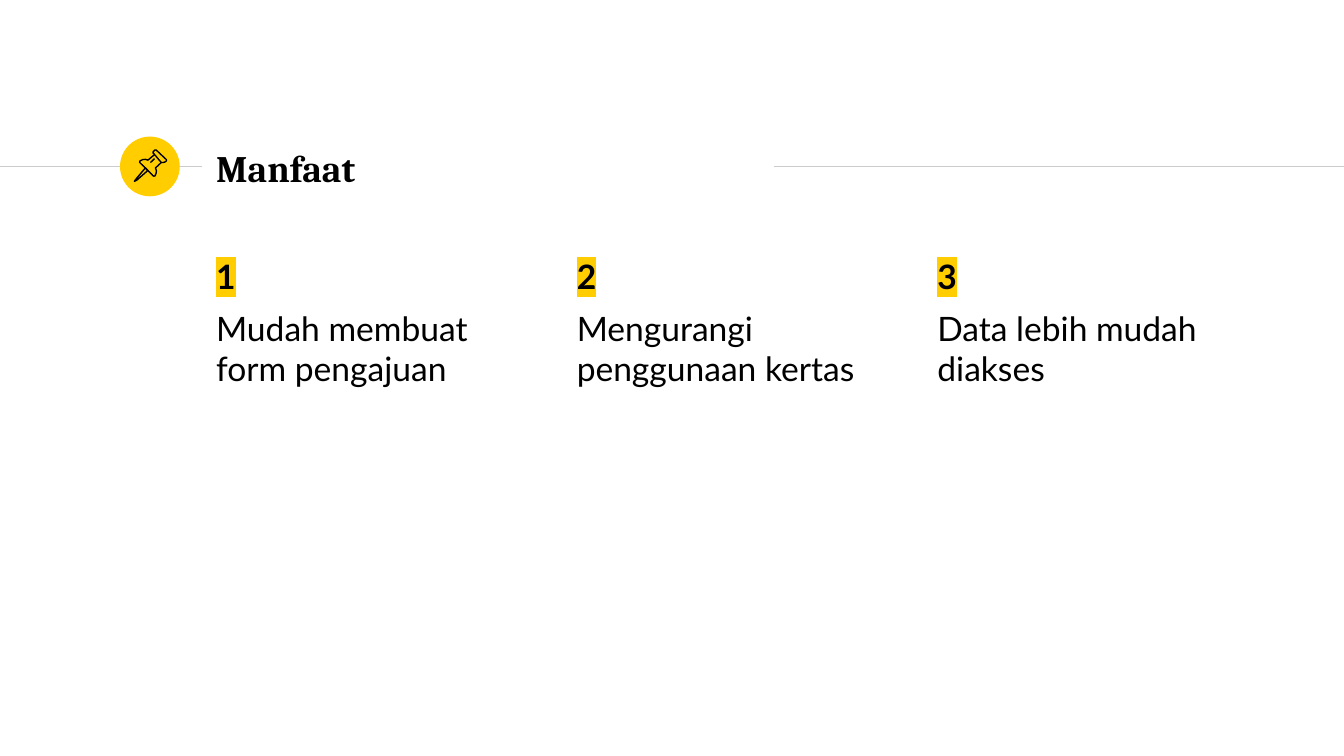
from dataclasses import dataclass

import lxml.etree
import pptx
import pptx.dml.color
import pptx.enum.shapes
import pptx.enum.text
import pptx.oxml.ns
import pptx.util

Pt = pptx.util.Pt


@dataclass(frozen=True)
class Theme:
    """Colours, fonts and type sizes of the slide."""

    ink: str = "000000"
    accent: str = "FFCD00"
    rule: str = "CCCCCC"
    title_font: str = "Cambria"
    body_font: str = "Lato"
    title_size: float = 20
    body_size: float = 18
    line_width: float = 0.75
    inset: float = 7.2
    paragraph_gap: float = 6


class SlideBuilder:
    """Draws styled elements on the current slide."""

    def __init__(self, slide, theme):
        self.slide = slide
        self.theme = theme

    def color(self, value):
        return pptx.dml.color.RGBColor.from_string(value)

    def line(self, start, end, color):
        connector = self.slide.shapes.add_connector(
            pptx.enum.shapes.MSO_CONNECTOR.STRAIGHT, *map(Pt, start + end))
        connector.line.color.rgb = self.color(color)
        connector.line.width = Pt(self.theme.line_width)
        properties = connector._element.spPr
        lxml.etree.SubElement(properties, pptx.oxml.ns.qn("a:effectLst"))

    def circle(self, left, top, diameter):
        shape = self.slide.shapes.add_shape(
            pptx.enum.shapes.MSO_SHAPE.OVAL, Pt(left), Pt(top), Pt(diameter), Pt(diameter))
        shape.shadow.inherit = False
        shape.fill.solid()
        shape.fill.fore_color.rgb = self.color(self.theme.accent)
        shape.line.fill.background()

    def outline(self, points, close):
        vertices = [(Pt(x), Pt(y)) for x, y in points]
        builder = self.slide.shapes.build_freeform(*vertices[0])
        builder.add_line_segments(vertices[1:], close=close)
        shape = builder.convert_to_shape()
        shape.shadow.inherit = False
        shape.fill.background()
        shape.line.color.rgb = self.color(self.theme.ink)
        shape.line.width = Pt(self.theme.line_width)

    def text_frame(self, left, top, width, height, anchor):
        frame = self.slide.shapes.add_textbox(*map(Pt, (left, top, width, height))).text_frame
        frame.word_wrap = True
        frame.vertical_anchor = anchor
        frame.margin_left = frame.margin_right = Pt(self.theme.inset)
        frame.margin_top = frame.margin_bottom = Pt(self.theme.inset)
        return frame

    def add_text(self, paragraph, text, font, size, bold):
        run = paragraph.add_run()
        run.text = text
        paragraph.font.name = font
        paragraph.font.size = Pt(size)
        paragraph.font.bold = bold
        paragraph.font.color.rgb = self.color(self.theme.ink)
        return run

    def highlight(self, run):
        qn = pptx.oxml.ns.qn
        mark = lxml.etree.SubElement(run._r.get_or_add_rPr(), qn("a:highlight"))
        lxml.etree.SubElement(mark, qn("a:srgbClr"), val=self.theme.accent)

    def title(self, text, left, top, width, height):
        frame = self.text_frame(left, top, width, height, pptx.enum.text.MSO_ANCHOR.MIDDLE)
        self.add_text(frame.paragraphs[0], text, self.theme.title_font, self.theme.title_size, True)

    def benefit(self, number, text, left, top, width, height):
        theme = self.theme
        frame = self.text_frame(left, top, width, height, pptx.enum.text.MSO_ANCHOR.TOP)
        run = self.add_text(frame.paragraphs[0], str(number), theme.body_font, theme.body_size, True)
        self.highlight(run)
        paragraph = frame.add_paragraph()
        paragraph.space_before = Pt(theme.paragraph_gap)
        self.add_text(paragraph, text, theme.body_font, theme.body_size, False)


PIN_NEEDLE = [(77.9, 90), (72.6, 96.3), (72, 97.2), (73.3, 96.6), (79.2, 91.4)]
PIN_CAP = [(82.8, 82.8), (86.4, 87.1), (87.5, 87.1), (88.5, 86.8), (89.2, 86.2),
           (89.2, 85.6), (83.7, 80.4), (83, 80.4), (82.1, 81.3), (82, 82)]
PIN_BODY = [(82.8, 82.8), (79.3, 85.8), (78, 85.4), (76.5, 85.5), (75, 86.2),
            (74.8, 87), (82.3, 94.4), (83, 94.3), (83.6, 93), (83.8, 91.5),
            (83.3, 90), (86.4, 87.1)]
BENEFITS = ["Mudah membuat form pengajuan", "Mengurangi penggunaan kertas",
            "Data lebih mudah diakses"]


def main():
    presentation = pptx.Presentation()
    presentation.slide_width, presentation.slide_height = Pt(720), Pt(405)
    theme = Theme()
    builder = SlideBuilder(presentation.slides.add_slide(presentation.slide_layouts[6]), theme)

    rule_y, text_left = 89.2, 108.7
    builder.line((0, rule_y), (108, rule_y), theme.rule)
    builder.circle(64.3, 73.2, 32)
    builder.line((414.7, rule_y), (720, rule_y), theme.rule)
    builder.title("Manfaat", text_left, 72.7, 305.3, 34.6)

    for index, text in enumerate(BENEFITS):
        builder.benefit(index + 1, text, text_left + index * 193.2, 130.1, 183.6, 105.8)

    for points, close in [(PIN_NEEDLE, True), (PIN_CAP, True), (PIN_BODY, False)]:
        builder.outline(points, close)
    builder.line((80.6, 87.1), (82.8, 85), theme.ink)

    presentation.save("out.pptx")


if __name__ == "__main__":
    main()
